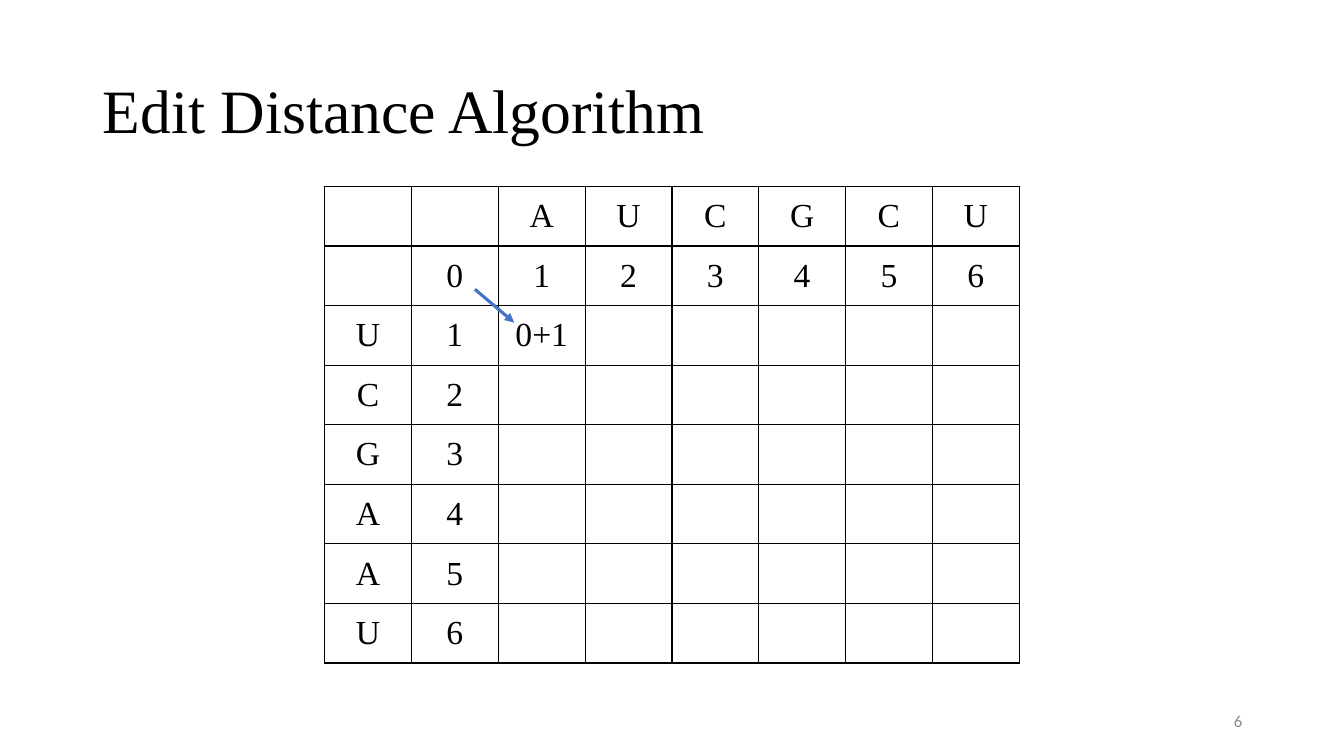
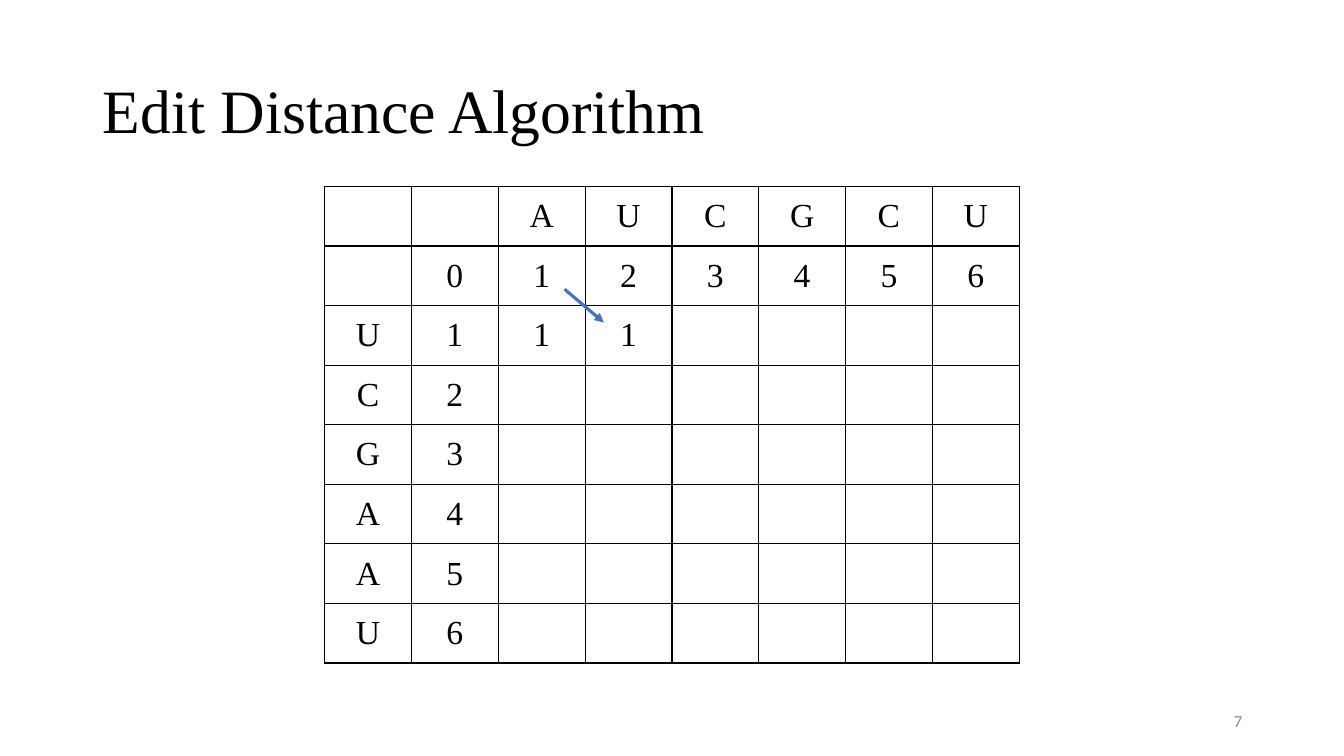
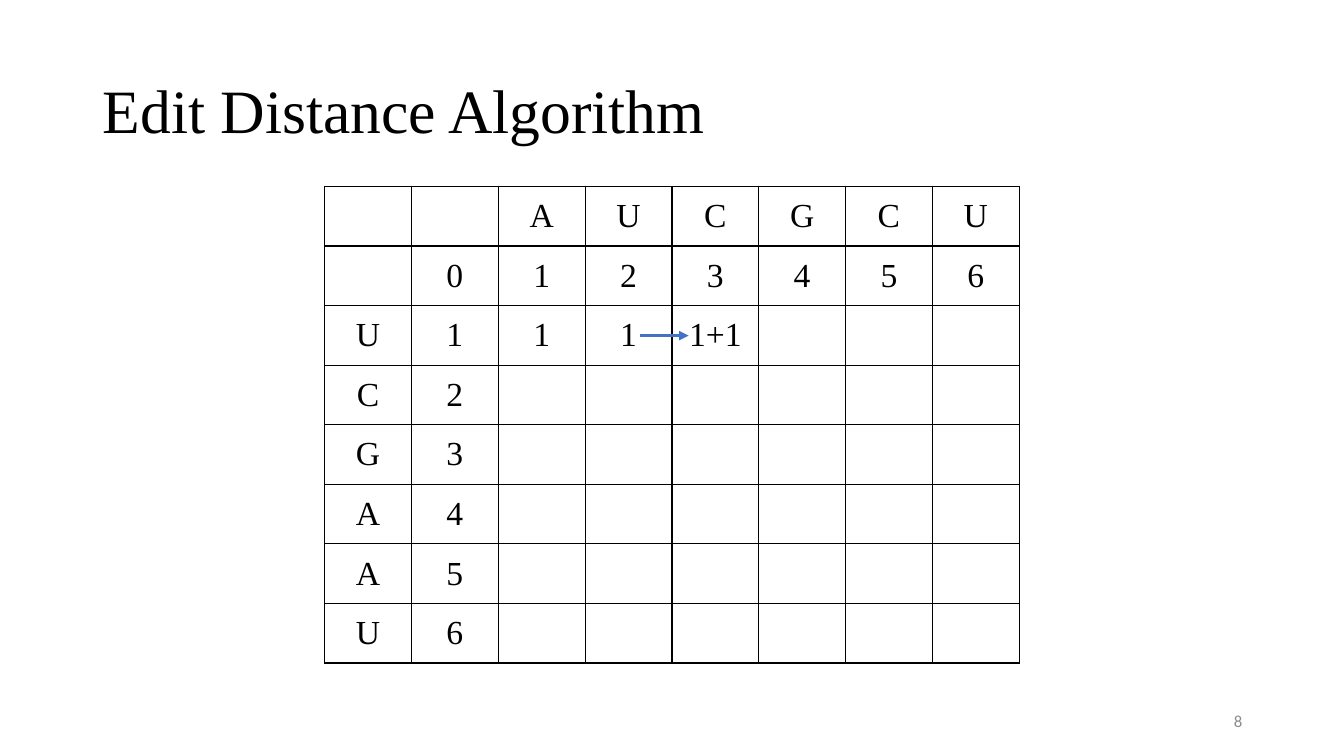
from dataclasses import dataclass

from lxml.etree import SubElement
from pptx import Presentation
from pptx.dml.color import RGBColor
from pptx.enum.shapes import MSO_CONNECTOR
from pptx.enum.text import MSO_ANCHOR, PP_ALIGN
from pptx.oxml import parse_xml
from pptx.oxml.ns import nsdecls, qn
from pptx.util import Inches, Pt


@dataclass(frozen=True)
class Theme:
    ink: str = "000000"
    paper: str = "FFFFFF"
    muted: str = "8C8C8C"
    accent: str = "4472C4"
    serif: str = "Times New Roman"
    sans: str = "Calibri"
    title_size: int = 44
    cell_size: int = 24
    number_size: int = 12
    border: float = 1
    arrow: float = 2.25


class Deck:
    """Build slides that share one theme."""

    def __init__(self, prs, theme):
        self.prs, self.theme, self.s = prs, theme, None

    def set_text(self, tf, text, size, font, color, align):
        tf.text = text
        tf.vertical_anchor = MSO_ANCHOR.MIDDLE
        p = tf.paragraphs[0]
        p.alignment = align
        for r in p.runs:
            r.font.size = Pt(size)
            r.font.name = font
            r.font.color.rgb = RGBColor.from_string(color)
        return p

    def slide(self, title, number):
        t = self.theme
        self.s = self.prs.slides.add_slide(self.prs.slide_layouts[5])
        sp = self.s.shapes.title
        sp.left, sp.top = Inches(0.92), Inches(0.4)
        sp.width, sp.height = Inches(11.5), Inches(1.45)
        p = self.set_text(sp.text_frame, title, t.title_size, t.serif, t.ink, PP_ALIGN.LEFT)
        p.line_spacing = 0.9
        box = self.s.shapes.add_textbox(Inches(9.42), Inches(6.95), Inches(3), Inches(0.4))
        box.text_frame.word_wrap = True
        self.set_text(box.text_frame, str(number), t.number_size, t.sans, t.muted, PP_ALIGN.RIGHT)

    def cell(self, cell, text):
        t = self.theme
        tcPr = cell._tc.get_or_add_tcPr()
        for side in ("lnL", "lnR", "lnT", "lnB"):
            tcPr.append(parse_xml(
                f'<a:{side} {nsdecls("a")} w="{Pt(t.border)}"><a:solidFill>'
                f'<a:srgbClr val="{t.ink}"/></a:solidFill></a:{side}>'))
        cell.fill.solid()
        cell.fill.fore_color.rgb = RGBColor.from_string(t.paper)
        self.set_text(cell.text_frame, text, t.cell_size, t.serif, t.ink, PP_ALIGN.CENTER)
        cell.vertical_anchor = MSO_ANCHOR.MIDDLE

    def table(self, rows):
        tbl = self.s.shapes.add_table(
            len(rows), len(rows[0]), Inches(3.22), Inches(1.85), Inches(6.89), Inches(4.73)).table
        tbl.first_row = tbl.horz_banding = False
        for i, row in enumerate(rows):
            for j, text in enumerate(row):
                self.cell(tbl.cell(i, j), text)

    def arrow(self, start, end):
        ln = self.s.shapes.add_connector(
            MSO_CONNECTOR.STRAIGHT, *(Inches(v) for v in (*start, *end)))
        ln.line.color.rgb = RGBColor.from_string(self.theme.accent)
        ln.line.width = Pt(self.theme.arrow)
        spPr = ln._element.spPr
        SubElement(spPr.get_or_add_ln(), qn("a:tailEnd"), type="triangle")
        SubElement(spPr, qn("a:effectLst"))


def distance_rows(across, down, filled):
    header = ["", "", *across]
    base = ["", *(str(n) for n in range(len(across) + 1))]
    rows = [[c, str(n)] + [""] * len(across) for n, c in enumerate(down, 1)]
    rows[0][2:2 + len(filled)] = filled
    return [header, base, *rows]


def main():
    prs = Presentation()
    prs.slide_width, prs.slide_height = Inches(13.33), Inches(7.5)
    deck = Deck(prs, Theme())
    steps = [
        (["0+1"], (4.71, 2.87), (5.1, 3.2)),
        (["1", "1"], (5.6, 2.87), (5.99, 3.2)),
        (["1", "1", "1+1"], (6.35, 3.33), (6.83, 3.33)),
    ]
    for number, (filled, start, end) in enumerate(steps, 6):
        deck.slide("Edit Distance Algorithm", number)
        deck.table(distance_rows("AUCGCU", "UCGAAU", filled))
        deck.arrow(start, end)
    prs.save("out.pptx")


if __name__ == "__main__":
    main()
